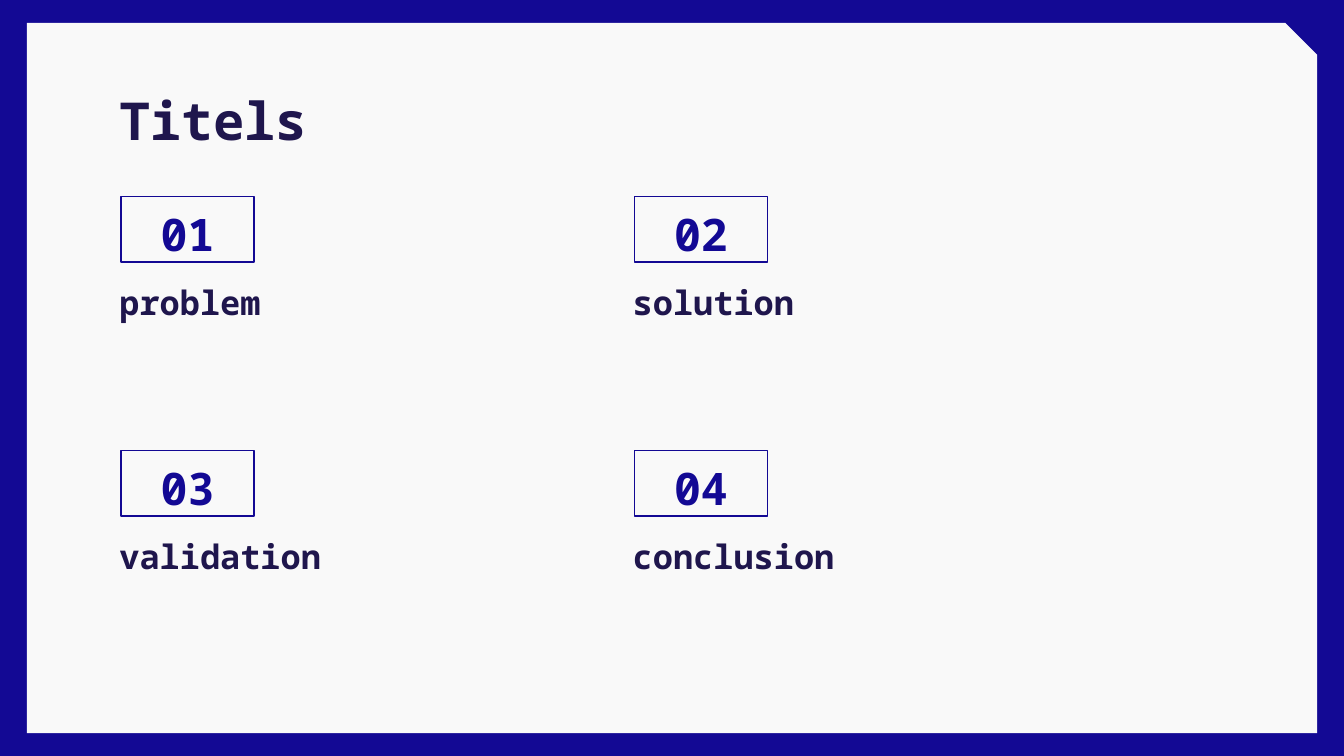
"""Build a contents slide with four numbered sections in a two-by-two grid."""
from pptx import Presentation
from pptx.dml.color import RGBColor
from pptx.enum.shapes import MSO_SHAPE
from pptx.enum.text import MSO_ANCHOR, PP_ALIGN
from pptx.util import Inches, Pt

RECTANGLE, SNIPPED = MSO_SHAPE.RECTANGLE, MSO_SHAPE.SNIP_1_RECTANGLE
TOP, MIDDLE, BOTTOM = MSO_ANCHOR.TOP, MSO_ANCHOR.MIDDLE, MSO_ANCHOR.BOTTOM
LEFT, CENTER = PP_ALIGN.LEFT, PP_ALIGN.CENTER

FONT = "Noto Sans Mono"
BLUE, NAVY, PAPER = "130994", "1F164D", "F9F9F9"
WIDTH = 10
HEIGHT = WIDTH * 9 / 16
MARGIN_X, MARGIN_Y = 0.2, 0.17
GRID_LEFT, GRID_TOP = 0.79, 1.46
COLUMN_STEP, ROW_STEP = 3.82, 1.89
SECTIONS = ["problem", "solution", "validation", "conclusion"]


def color(value):
    return RGBColor.from_string(value)


def write(shape, text, size, font_color, anchor, alignment=LEFT):
    frame = shape.text_frame
    frame.text = text
    frame.word_wrap = True
    frame.vertical_anchor = anchor
    frame.margin_left = frame.margin_right = Inches(0.1)
    frame.margin_top = frame.margin_bottom = Inches(0.1)
    paragraph = frame.paragraphs[0]
    paragraph.alignment = alignment
    paragraph.line_spacing = 1.15
    font = paragraph.runs[0].font
    font.name, font.size, font.bold = FONT, Pt(size), True
    font.color.rgb = color(font_color)


presentation = Presentation()
presentation.slide_width = Inches(WIDTH)
presentation.slide_height = Inches(HEIGHT)
slide = presentation.slides.add_slide(presentation.slide_layouts[6])
slide.background.fill.solid()
slide.background.fill.fore_color.rgb = color(BLUE)

panel = slide.shapes.add_shape(
    SNIPPED, Inches(MARGIN_X), Inches(MARGIN_Y),
    Inches(WIDTH - 2 * MARGIN_X), Inches(HEIGHT - 2 * MARGIN_Y))
panel.adjustments[0] = 0.045
panel.shadow.inherit = False
panel.fill.solid()
panel.fill.fore_color.rgb = color(PAPER)
panel.line.fill.background()

title = slide.shapes.add_textbox(
    Inches(GRID_LEFT), Inches(0.49), Inches(8.43), Inches(0.63))
write(title, "Titels", 28, NAVY, TOP)

for index, section in enumerate(SECTIONS):
    row, column = divmod(index, 2)
    left = GRID_LEFT + column * COLUMN_STEP
    top = GRID_TOP + row * ROW_STEP

    number = slide.shapes.add_shape(
        RECTANGLE, Inches(left + 0.11), Inches(top), Inches(0.99), Inches(0.49))
    number.shadow.inherit = False
    number.fill.background()
    number.line.color.rgb = color(BLUE)
    number.line.width = Pt(0.75)
    write(number, f"{index + 1:02}", 24, BLUE, MIDDLE, CENTER)

    label = slide.shapes.add_textbox(
        Inches(left), Inches(top + 0.51), Inches(3.1), Inches(0.53))
    write(label, section, 18, NAVY, BOTTOM)

presentation.save("out.pptx")
